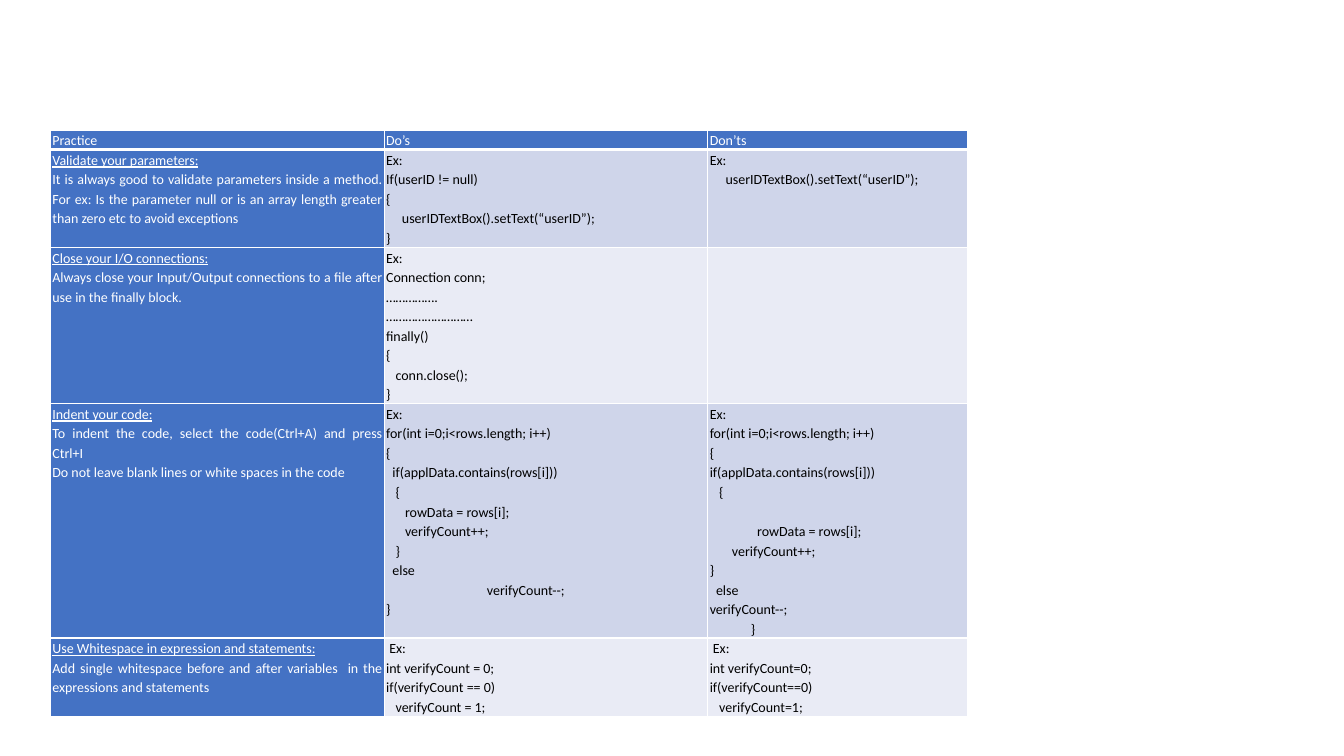
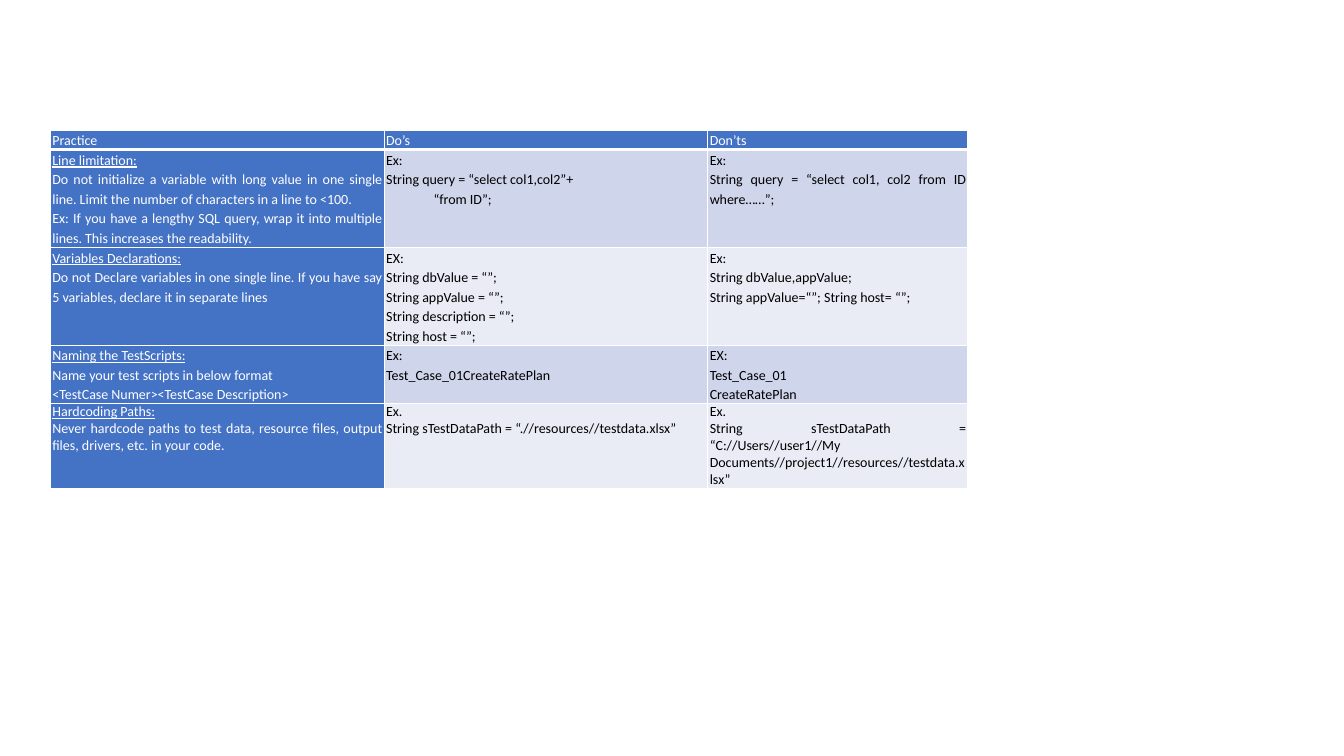
from lxml.etree import SubElement
from pptx import Presentation
from pptx.dml.color import RGBColor
from pptx.enum.text import PP_ALIGN
from pptx.oxml.ns import qn
from pptx.util import Inches, Pt

# Shared style
BLUE = RGBColor(0x44, 0x72, 0xC4)
BAND_DARK = RGBColor(0xCF, 0xD5, 0xEA)
BAND_LIGHT = RGBColor(0xE9, 0xEB, 0xF5)
WHITE = RGBColor(0xFF, 0xFF, 0xFF)
BLACK = RGBColor(0, 0, 0)
FONT, SIZE = "Calibri", Pt(10)
LINE_SPACING = 1.15
BLANK_LINE = Pt(14)
SPACE_WIDTH = Pt(2.26)
TAB_WIDTH = Inches(1)

LEFT, TOP = Inches(0.5), Inches(1.29)
COL_WIDTHS = [Inches(w) for w in (3.31, 3.21, 2.58)]
CELL_MARGIN = Inches(0.02)
HEADER = ("Practice", "Do’s", "Don’ts")
HEADER_HEIGHT = 0.19

# Content: (row height, line spacing, practice, do's, don'ts)
CODE_LAYOUT = [
    (0.97, LINE_SPACING,
     """Validate your parameters:
It is always good to validate parameters inside a method. For ex: Is the parameter null or is an array length greater than zero etc to avoid exceptions""",
     """Ex:
If(userID != null)
{
     userIDTextBox().setText(“userID”);
}""",
     """Ex:
     userIDTextBox().setText(“userID”);"""),
    (1.55, LINE_SPACING,
     """Close your I/O connections:
Always close your Input/Output connections to a file after use in the finally block.""",
     """Ex:
Connection conn;
…………….
………………………
finally()
{
   conn.close();
}""",
     ""),
    (2.32, LINE_SPACING,
     """Indent your code:
To indent the code, select the code(Ctrl+A) and press Ctrl+I
Do not leave blank lines or white spaces in the code""",
     """Ex:
for(int i=0;i<rows.length; i++)
{
  if(applData.contains(rows[i]))
   {
      rowData = rows[i];
      verifyCount++;
   }
  else
\tverifyCount--;
}""",
     """Ex:
for(int i=0;i<rows.length; i++)
{
if(applData.contains(rows[i]))
   {

               rowData = rows[i];
       verifyCount++;
}
  else
verifyCount--;
             }"""),
    (0.77, LINE_SPACING,
     """Use Whitespace in expression and statements:
Add single whitespace before and after variables  in the expressions and statements""",
     """ Ex:
int verifyCount = 0;
if(verifyCount == 0)
   verifyCount = 1;""",
     """ Ex:
int verifyCount=0;
if(verifyCount==0)
   verifyCount=1;"""),
]

NAMING = [
    (0.97, LINE_SPACING,
     """Line limitation:
Do not initialize a variable with long value in one single line. Limit the number of characters in a line to <100.
Ex: If you have a lengthy SQL query, wrap it into multiple lines. This increases the readability.""",
     """Ex:
String query = “select col1,col2”+
               “from ID”;""",
     """Ex:
String query = “select col1, col2 from ID where……”;"""),
    (0.97, LINE_SPACING,
     """Variables Declarations:
Do not Declare variables in one single line. If you have say 5 variables, declare it in separate lines""",
     """EX:
String dbValue = “”;
String appValue = “”;
String description = “”;
String host = “”;""",
     """Ex:
String dbValue,appValue;
String appValue=“”; String host= “”;"""),
    (0.58, LINE_SPACING,
     """Naming the TestScripts:
Name your test scripts in below format
<TestCase Numer><TestCase Description>""",
     """Ex:
Test_Case_01CreateRatePlan""",
     """EX:
Test_Case_01
CreateRatePlan"""),
    (0.84, 1.0,
     """Hardcoding Paths:
Never hardcode paths to test data, resource files, output files, drivers, etc. in your code.""",
     """Ex.
String sTestDataPath = “.//resources//testdata.xlsx”""",
     """Ex.
String sTestDataPath = “C://Users//user1//My Documents//project1//resources//testdata.xlsx”"""),
]


def add_borders(cell, bottom=1):
    tcPr = cell._tc.get_or_add_tcPr()
    for side, width in (("L", 1), ("R", 1), ("T", 1), ("B", bottom)):
        ln = SubElement(tcPr, qn(f"a:ln{side}"), w=str(Pt(width)))
        fill = SubElement(ln, qn("a:solidFill"))
        SubElement(fill, qn("a:srgbClr"), val=str(WHITE))


def write_lines(cell, text, color, spacing, underline_first):
    """One paragraph a line; leading spaces become an indent, blank lines a gap."""
    lines = text.split("\n")
    tf = cell.text_frame
    tf.text = "\n".join(line.strip() for line in lines if line.strip())
    paragraphs = iter(tf.paragraphs)
    gap = 0
    for i, line in enumerate(lines):
        if not line.strip():
            gap += BLANK_LINE
            continue
        p = next(paragraphs)
        p.alignment = PP_ALIGN.JUSTIFY
        p.line_spacing = spacing
        lead = line[:len(line) - len(line.lstrip())]
        if lead:
            indent = lead.count(" ") * SPACE_WIDTH + lead.count("\t") * TAB_WIDTH
            pPr = p._p.get_or_add_pPr()
            pPr.set("marL", str(indent))
            pPr.set("indent", "0")
        if gap:
            p.space_before = gap
            gap = 0
        for r in p.runs:
            r.font.name, r.font.size, r.font.bold = FONT, SIZE, False
            r.font.color.rgb = color
            r.font.underline = underline_first and i == 0


def add_practice_table(prs, practices):
    slide = prs.slides.add_slide(prs.slide_layouts[6])
    rows = [(HEADER_HEIGHT, LINE_SPACING, *HEADER)] + practices
    height = Inches(sum(row[0] for row in rows))
    table = slide.shapes.add_table(len(rows), len(COL_WIDTHS), LEFT, TOP,
                                   sum(COL_WIDTHS), height).table
    for column, width in zip(table.columns, COL_WIDTHS):
        column.width = width

    for i, (row_height, spacing, *texts) in enumerate(rows):
        table.rows[i].height = Inches(row_height)
        for j, text in enumerate(texts):
            cell = table.cell(i, j)
            cell.margin_left = cell.margin_right = CELL_MARGIN
            cell.margin_top = cell.margin_bottom = 0
            add_borders(cell, bottom=3 if i == 0 else 1)
            on_blue = i == 0 or j == 0
            cell.fill.solid()
            cell.fill.fore_color.rgb = (
                BLUE if on_blue else BAND_DARK if i % 2 else BAND_LIGHT)
            write_lines(cell, text, WHITE if on_blue else BLACK, spacing,
                        underline_first=i > 0 and j == 0)


def main():
    prs = Presentation()
    prs.slide_width, prs.slide_height = Inches(13.33), Inches(7.5)
    for practices in (CODE_LAYOUT, NAMING):
        add_practice_table(prs, practices)
    prs.save("out.pptx")


if __name__ == "__main__":
    main()
